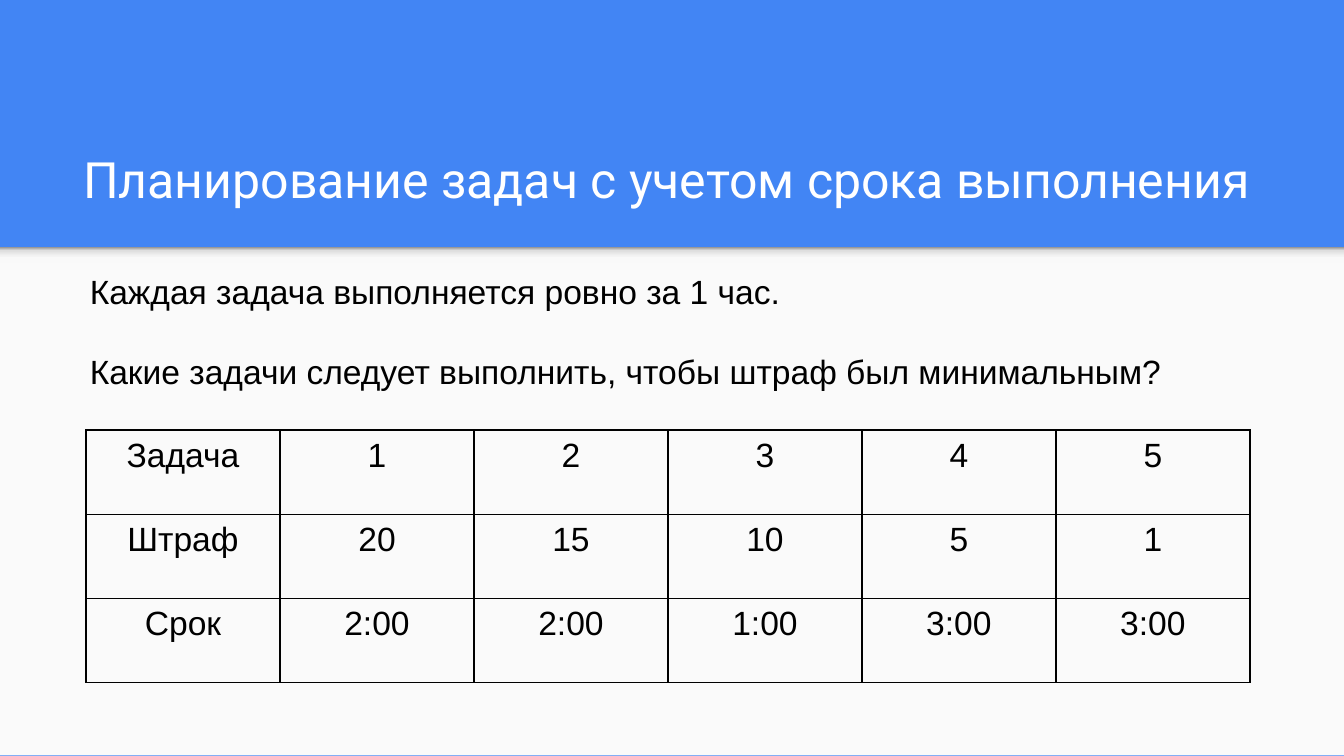
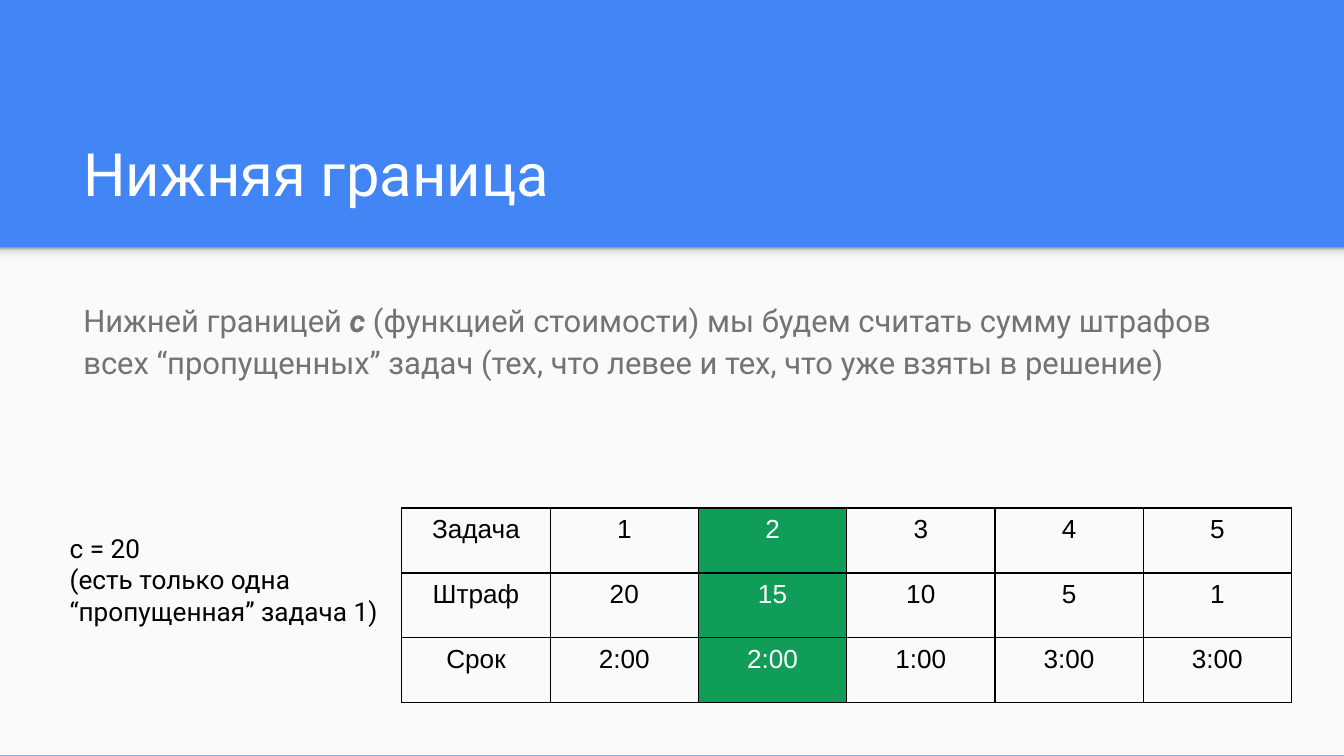
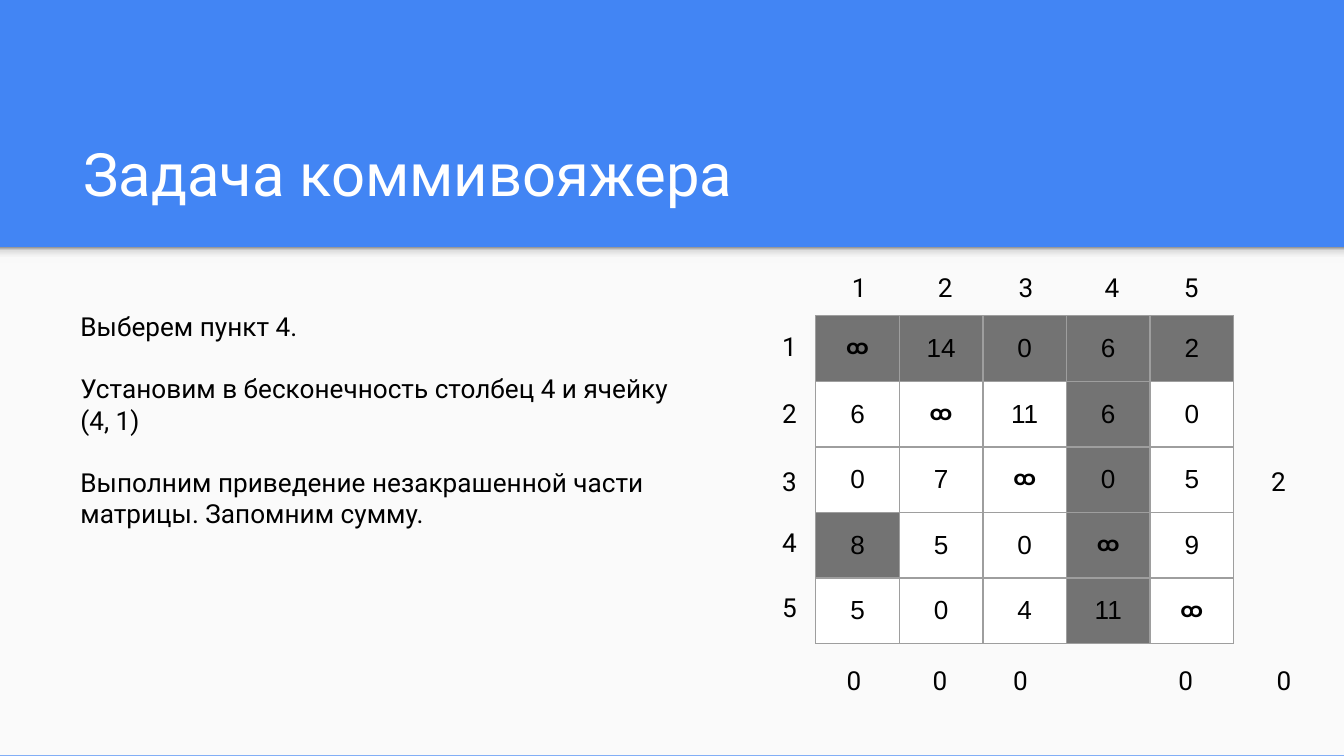
from lxml import etree
from pptx import Presentation
from pptx.dml.color import RGBColor
from pptx.enum.shapes import MSO_SHAPE
from pptx.enum.text import MSO_ANCHOR, MSO_AUTO_SIZE, PP_ALIGN
from pptx.oxml.ns import qn
from pptx.util import Inches, Pt

RECTANGLE = MSO_SHAPE.RECTANGLE
TOP, MIDDLE, BOTTOM = MSO_ANCHOR.TOP, MSO_ANCHOR.MIDDLE, MSO_ANCHOR.BOTTOM
LEFT, CENTER = PP_ALIGN.LEFT, PP_ALIGN.CENTER
NO_AUTOFIT = MSO_AUTO_SIZE.NONE

BLUE, PAPER, GREEN, GREY = "4285F4", "FAFAFA", "0F9D58", "737373"
WHITE, BLACK, GRID_GREY = "FFFFFF", "000000", "9E9E9E"
SHADOW_STOPS = [(0, "F9F9F9"), (36, "F9F9F9"), (80, "DEDEDE"), (100, "999999")]
INFINITY = "ထ"


def write_text(frame, text, size=14, font="Roboto", color=BLACK, align=LEFT, anchor=TOP,
               bold=False, gap=0, after=0, spacing=1.0, inset_x=0.1, inset_y=0.1):
    frame.word_wrap = True
    frame.vertical_anchor = anchor
    frame.margin_left = frame.margin_right = Inches(inset_x)
    frame.margin_top = frame.margin_bottom = Inches(inset_y)
    for line_index, line in enumerate(text.split("\n")):
        paragraph = frame.add_paragraph() if line_index else frame.paragraphs[0]
        properties = paragraph._p.get_or_add_pPr()
        properties.set("marL", "0")
        properties.set("indent", "0")
        etree.SubElement(properties, qn("a:buNone"))
        paragraph.alignment = align
        paragraph.line_spacing = spacing
        paragraph.space_before = Pt(gap if line_index else 0)
        paragraph.space_after = Pt(after)
        for piece_index, piece in enumerate(line.split("*")):
            emphasized = piece_index % 2 == 1
            run = paragraph.add_run()
            run.text = piece
            run.font.name = font
            run.font.size = Pt(size)
            run.font.bold = bold or emphasized
            run.font.italic = emphasized
            run.font.color.rgb = RGBColor.from_string(color)


def add_grid(slide, box, rows, border, fills, **text_format):
    left, top, width, height = box
    table = slide.shapes.add_table(len(rows), len(rows[0]), *map(Inches, box)).table
    table.first_row = table.horz_banding = False
    for column in table.columns:
        column.width = Inches(width / len(rows[0]))
    for row_index, values in enumerate(rows):
        table.rows[row_index].height = Inches(height / len(rows))
        for column_index, value in enumerate(values):
            cell = table.cell(row_index, column_index)
            cell_format = {"size": 14, "align": CENTER, "font": "Arial", **text_format}
            fill = fills(row_index, column_index)
            if fill == GREEN:
                cell_format["color"] = WHITE
            if value == INFINITY:
                cell_format.update(size=11, bold=True)
            write_text(cell.text_frame, value, **cell_format)
            cell.vertical_anchor = cell_format.get("anchor", TOP)
            cell.margin_left = cell.margin_right = Inches(cell_format.get("inset_x", 0.1))
            cell.margin_top = cell.margin_bottom = Inches(cell_format.get("inset_y", 0.1))
            properties = cell._tc.get_or_add_tcPr()
            for side in ("a:lnL", "a:lnR", "a:lnT", "a:lnB"):
                line = etree.SubElement(properties, qn(side), w=str(Pt(0.75)))
                solid = etree.SubElement(line, qn("a:solidFill"))
                etree.SubElement(solid, qn("a:srgbClr"), val=border)
            if fill:
                cell.fill.solid()
                cell.fill.fore_color.rgb = RGBColor.from_string(fill)
            else:
                cell.fill.background()


presentation = Presentation()
presentation.slide_width = Inches(10)
presentation.slide_height = presentation.slide_width * 9 // 16
master = presentation.slide_master
master.background.fill.solid()
master.background.fill.fore_color.rgb = RGBColor.from_string(BLUE)

content_layout, title_layout = presentation.slide_layouts[1], presentation.slide_layouts[5]
slides = []
for title, size, layout in [
    ("Планирование задач с учетом срока выполнения", 26.8, title_layout),
    ("Нижняя граница", 32, content_layout),
    ("Задача коммивояжера", 32, title_layout),
]:
    slide = presentation.slides.add_slide(layout)
    shape = slide.shapes.title
    shape.left, shape.top, shape.width, shape.height = map(Inches, (0.52, 0.81, 8.99, 0.84))
    shape.text_frame.auto_size = NO_AUTOFIT
    write_text(shape.text_frame, title, size=size, color=WHITE, anchor=BOTTOM)
    slides.append(slide)
schedule_slide, bound_slide, salesman_slide = slides

for position, height in [(2, 3.78), (3, 0.12)]:
    band = schedule_slide.shapes.add_shape(RECTANGLE, 0, Inches(1.84), Inches(10), Inches(height))
    band.shadow.inherit = False
    band.line.fill.background()
    band.fill.solid()
    band.fill.fore_color.rgb = RGBColor.from_string(PAPER)
    master.shapes.element.insert(position, band.element)
band.fill.gradient()
band.fill.gradient_angle = 90
stop_list = band.element.find(".//" + qn("a:gsLst"))
stop_list.clear()
for percent, color in SHADOW_STOPS:
    stop = etree.SubElement(stop_list, qn("a:gs"), pos=str(percent * 1000))
    etree.SubElement(stop, qn("a:srgbClr"), val=color)

tasks = [
    ["Задача", "1", "2", "3", "4", "5"],
    ["Штраф", "20", "15", "10", "5", "1"],
    ["Срок", "2:00", "2:00", "1:00", "3:00", "3:00"],
]
add_grid(schedule_slide, (0.64, 3.2, 8.66, 1.88), tasks, BLACK, lambda row, column: None,
         size=18, inset_x=0.04, inset_y=0.05)
question = schedule_slide.shapes.add_textbox(*map(Inches, (0.57, 1.97, 8.46, 0.94)))
write_text(question.text_frame,
           "Каждая задача выполняется ровно за 1 час.\n"
           "Какие задачи следует выполнить, чтобы штраф был минимальным?",
           size=18, font="Arial", gap=21, inset_y=0.05)

body = bound_slide.placeholders[1]
body.left, body.top, body.width, body.height = map(Inches, (0.52, 2.1, 8.99, 1.28))
body.text_frame.auto_size = NO_AUTOFIT
write_text(body.text_frame,
           "Нижней границей *c* (функцией стоимости) мы будем считать сумму штрафов "
           "всех “пропущенных” задач (тех, что левее и тех, что уже взяты в решение)",
           size=16.6, color=GREY, spacing=1.15, after=12)
add_grid(bound_slide, (2.99, 3.78, 6.62, 1.45), tasks, BLACK,
         lambda row, column: GREEN if column == 2 else None, inset_x=0.04, inset_y=0.05)
cost = bound_slide.shapes.add_textbox(*map(Inches, (0.42, 3.86, 2.53, 1.28)))
write_text(cost.text_frame, "c = 20\n(есть только одна “пропущенная” задача 1)")

distances = [
    [INFINITY, "14", "0", "6", "2"],
    ["6", INFINITY, "11", "6", "0"],
    ["0", "7", INFINITY, "0", "5"],
    ["8", "5", "0", INFINITY, "9"],
    ["5", "0", "4", "11", INFINITY],
]
add_grid(salesman_slide, (6.07, 2.35, 3.11, 2.44), distances, GRID_GREY,
         lambda row, column: GREY if row == 0 or column == 3 or (row, column) == (3, 0) else WHITE,
         anchor=MIDDLE)
steps = salesman_slide.shapes.add_textbox(*map(Inches, (0.5, 2.21, 4.74, 3.12)))
write_text(steps.text_frame,
           "Выберем пункт 4.\n"
           "Установим в бесконечность столбец 4 и ячейку (4, 1)\n"
           "Выполним приведение незакрашенной части матрицы. Запомним сумму.",
           gap=16.5)

row_tops = [2.36, 2.86, 3.36, 3.82, 4.3]
column_lefts = [6.24, 6.88, 7.48, 8.12, 8.71]
labels = [(str(number), 5.72, top, 0.31) for number, top in enumerate(row_tops, 1)]
labels += [(str(number), left, 1.92, 0.31) for number, left in enumerate(column_lefts, 1)]
labels += [("0", left - 0.04, 4.84, 0.31) for left in column_lefts if left != 8.12]
labels += [("2", 9.36, 3.36, 0.57), ("0", 9.4, 4.84, 0.31)]
for text, left, top, width in labels:
    label = salesman_slide.shapes.add_textbox(*map(Inches, (left, top, width, 0.44)))
    write_text(label.text_frame, text)

presentation.save("out.pptx")
